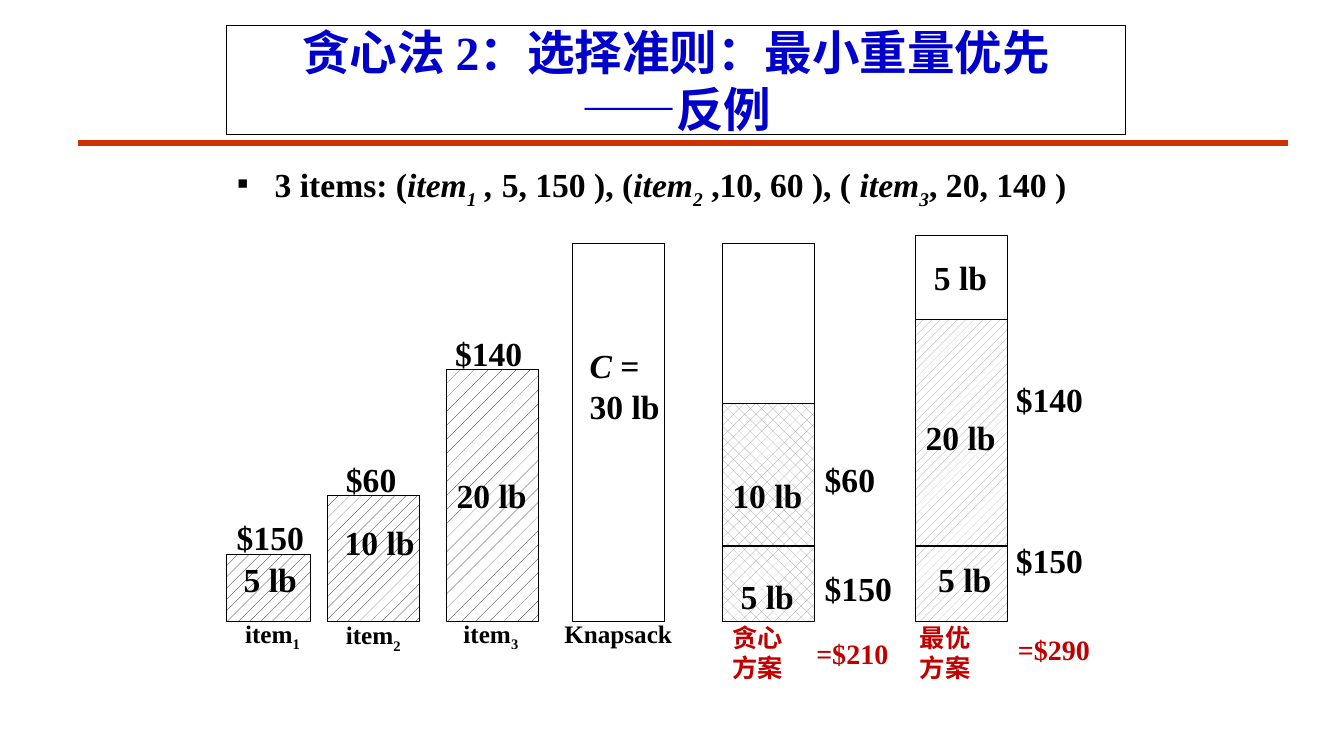
import dataclasses
import lxml.etree
import pptx
import pptx.util
import pptx.dml.color
import pptx.enum.dml
import pptx.enum.shapes
import pptx.enum.text
import pptx.oxml.ns

Pt = pptx.util.Pt
RGB = pptx.dml.color.RGBColor.from_string
qn = pptx.oxml.ns.qn
PATTERN = pptx.enum.dml.MSO_PATTERN


@dataclasses.dataclass(frozen=True)
class Theme:
    font: str = "Times New Roman"
    ink: str = "000000"
    paper: str = "FFFFFF"
    hatch: str = "969696"
    title: str = "0000CC"
    accent: str = "C00000"
    rule: str = "CC3300"
    title_size: int = 34
    body_size: int = 24
    total_size: int = 20
    label_size: int = 18


T = Theme()
WIDTHS = {"5 lb": 53, "10 lb": 65, "20 lb": 65, "$60": 52, "$140": 64, "$150": 64,
          "item": 55, "Knapsack": 92, "C": 65}


def style(r, size, color, marks=""):
    r.font.name = T.font
    r.font.size = Pt(size)
    r.font.bold = True
    r.font.color.rgb = RGB(color)
    if "i" in marks:
        r.font.italic = True
    if "s" in marks:
        r._r.get_or_add_rPr().set("baseline", "-25000")


def fill_paragraph(p, parts, size, color):
    for text, marks in parts:
        r = p.add_run()
        r.text = text
        style(r, size, color, marks)


def add_label(sl, x, y, lines, size=T.body_size, color=T.ink, w=None):
    if isinstance(lines, str):
        lines = [[(lines, "")]]
    w = w or WIDTHS[lines[0][0][0]]
    tb = sl.shapes.add_textbox(Pt(x), Pt(y), Pt(w), Pt(size * 1.2 * len(lines) + 7.2))
    tf = tb.text_frame
    tf.word_wrap = False
    for i, parts in enumerate(lines):
        p = tf.add_paragraph() if i else tf.paragraphs[0]
        fill_paragraph(p, parts, size, color)


def add_bar(sl, x, y, w, h, pattern=None, hatch=T.ink):
    sp = sl.shapes.add_shape(pptx.enum.shapes.MSO_SHAPE.RECTANGLE, Pt(x), Pt(y), Pt(w), Pt(h))
    sp.shadow.inherit = False
    sp.line.color.rgb = RGB(T.ink)
    sp.line.width = Pt(0.75)
    if pattern is None:
        sp.fill.background()
    else:
        sp.fill.patterned()
        sp.fill.pattern = pattern
        sp.fill.fore_color.rgb = RGB(hatch)
        sp.fill.back_color.rgb = RGB(T.paper)


def add_line(sl, x1, x2, y, color, width):
    cn = sl.shapes.add_connector(pptx.enum.shapes.MSO_CONNECTOR.STRAIGHT,
                                 Pt(x1), Pt(y), Pt(x2), Pt(y))
    cn.line.color.rgb = RGB(color)
    cn.line.width = Pt(width)
    lxml.etree.SubElement(cn._element.spPr, qn("a:effectLst"))


def place(sp, box):
    sp.left, sp.top, sp.width, sp.height = (Pt(v) for v in box)
    sp.text_frame.word_wrap = True
    sp.text_frame.auto_size = pptx.enum.text.MSO_AUTO_SIZE.NONE


def add_title(sl, box):
    sp = sl.shapes.title
    place(sp, box)
    sp.fill.background()
    sp.line.color.rgb = RGB(T.ink)
    sp.line.width = Pt(1)
    tf = sp.text_frame
    tf.vertical_anchor = pptx.enum.text.MSO_ANCHOR.MIDDLE
    tf.text = "贪心法 2：选择准则：最小重量优先\v——反例"
    p = tf.paragraphs[0]
    p.alignment = pptx.enum.text.PP_ALIGN.CENTER
    for r in p.runs:
        style(r, T.title_size, T.title)
    for br in p._p.findall(qn("a:br")):
        lxml.etree.SubElement(br, qn("a:rPr"), sz=str(T.title_size * 100))


def add_problem(sl, box):
    sp = sl.placeholders[1]
    place(sp, box)
    tf = sp.text_frame
    tf.margin_top = Pt(3.6)
    p = tf.paragraphs[0]
    pPr = p._p.get_or_add_pPr()
    pPr.set("marL", str(Pt(27)))
    pPr.set("indent", str(Pt(-27)))
    lxml.etree.SubElement(pPr, qn("a:buChar"), char="▪")
    p.line_spacing = 0.9
    p.space_before = Pt(0)
    fill_paragraph(p, [("3 items: (", ""), ("item", "i"), ("1", "is"), (" ,", "i"),
                       (" 5, 150 ), (", ""), ("item", "i"), ("2", "is"),
                       (" ,10, 60 ), ( ", ""), ("item", "i"), ("3", "is"),
                       (", 20, 140 )", "")], T.body_size, T.ink)


def add_items(sl, box):
    left, top, w, h = box
    base = top + h
    items = [
        (0, 60, 48, PATTERN.PERCENT_10, "5 lb", 5, 0, "$150", 0, 6, 6),
        (72, 66, 90, PATTERN.PERCENT_10, "10 lb", 5, 15, "$60", 6, 6, 5),
        (157, 66, 180, PATTERN.PERCENT_5, "20 lb", 0, 72, "$140", -1, 5, 6),
    ]
    for n, (dx, bw, bh, pattern, weight, wx, wy, price, px, lx, ly) in enumerate(items, 1):
        x, y = left + dx, base - bh
        add_bar(sl, x, y, bw, bh, pattern)
        add_label(sl, x + wx, y + wy, weight)
        add_label(sl, x + px, y - 30, price)
        add_label(sl, x + lx, base - ly, [[("item", ""), (str(n), "s")]], T.label_size)


def add_knapsack(sl, box):
    x, y, w, h = box
    add_bar(sl, x, y, w, h)
    add_label(sl, x + 5, y + 69, [[("C", "i"), (" =", "")], [("30 lb", "")]])
    add_label(sl, x - 13, y + h - 6, "Knapsack", T.label_size)


def add_solution(sl, box, free, pattern, labels, name, name_dx, total, total_at):
    x, y, w, h = box
    base = y + h
    add_bar(sl, x, y + free, w, h - free, pattern, T.hatch)
    add_bar(sl, x, y, w, free)
    add_line(sl, x, x + w, base - 54, T.ink, 0.75)
    for text, dx, up in labels:
        add_label(sl, x + dx, base - up, text)
    add_label(sl, x + name_dx, base - 3, [[(name, "")], [("方案", "")]],
              T.label_size, T.accent, 51)
    add_label(sl, x + total_at[0], base + total_at[1], [[(total, "")]],
              T.total_size, T.accent, 67)


def main():
    prs = pptx.Presentation()
    prs.slide_width, prs.slide_height = Pt(960), Pt(540)
    sl = prs.slides.add_slide(prs.slide_layouts[1])
    add_line(sl, 56, 920, 102, T.rule, 4.5)
    add_title(sl, (162, 18, 642, 78))
    add_problem(sl, (162, 114, 630, 42))
    add_items(sl, (162, 234, 223, 210))
    add_knapsack(sl, (409, 174, 66, 270))
    add_solution(sl, (516, 174, 66, 270), 114, PATTERN.PERCENT_25,
                 [("5 lb", 6, 36), ("10 lb", 0, 108), ("$60", 66, 120), ("$150", 66, 42)],
                 "贪心", 0, "=$210", (60, 7))
    add_solution(sl, (654, 168, 66, 276), 60, PATTERN.PERCENT_20,
                 [("5 lb", 9, 48), ("5 lb", 6, 264), ("20 lb", 0, 150),
                  ("$150", 64.5, 62), ("$140", 64.5, 177)],
                 "最优", -4, "=$290", (66, 4))
    prs.save("out.pptx")


if __name__ == "__main__":
    main()
